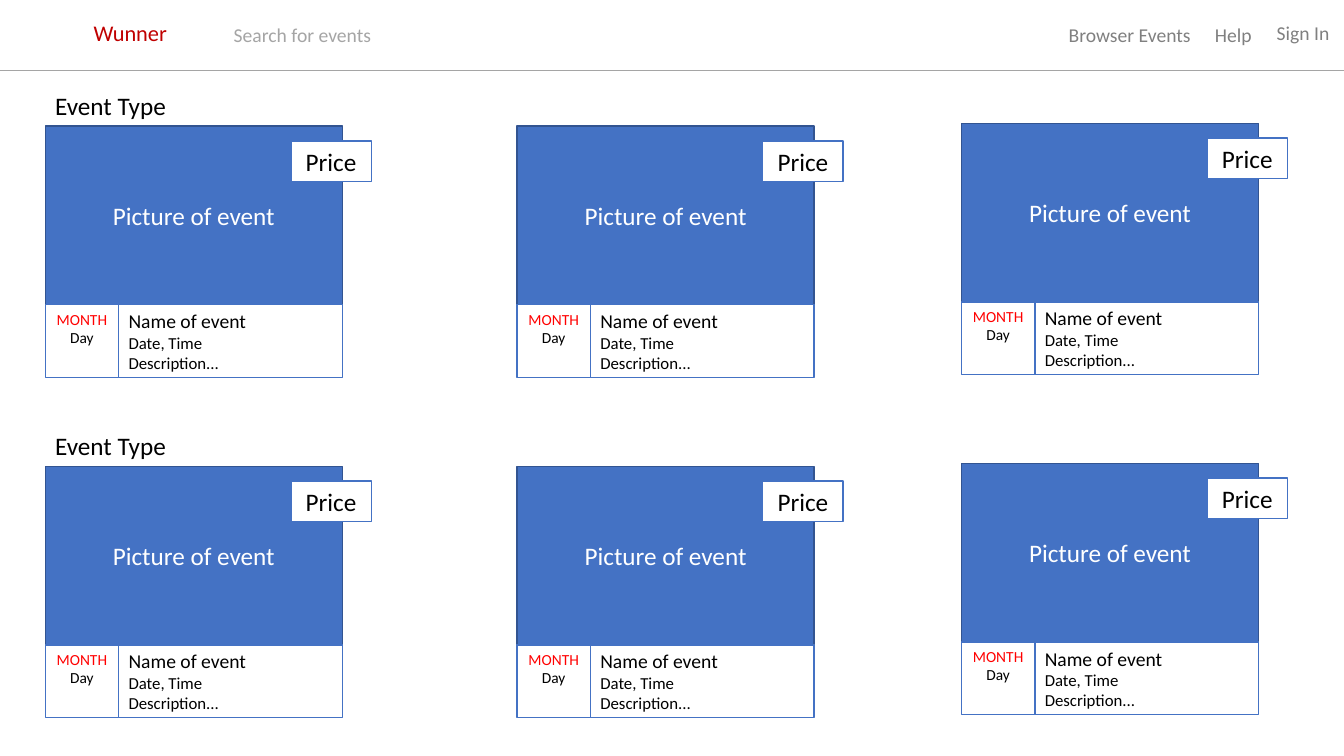
"""Build the event listing wireframe slide."""
from dataclasses import dataclass
from typing import Optional

from lxml import etree
from pptx import Presentation
from pptx.dml.color import RGBColor
from pptx.enum import shapes, text
from pptx.oxml import ns
from pptx.util import Cm, Pt


@dataclass(frozen=True)
class Theme:
    """Colours, type sizes and font of the slide."""
    font: str = "Calibri"
    blue: str = "4472C4"
    navy: str = "325491"
    white: str = "FFFFFF"
    black: str = "000000"
    month: str = "FF0000"
    brand: str = "C00000"
    menu: str = "808080"
    pale: str = "A5A5A5"
    heading: int = 18
    logo: int = 16
    body: int = 14
    detail: int = 12
    date: int = 11


THEME = Theme()


@dataclass(frozen=True)
class Span:
    """A stretch of text with one size and colour."""
    words: str
    size: int
    colour: str = THEME.black


@dataclass(frozen=True)
class Box:
    """A rectangle in centimetres, with one list of spans per paragraph."""
    left: float
    top: float
    width: float
    height: float
    paras: tuple[tuple[Span, ...], ...]
    fill: Optional[str] = None
    line: Optional[str] = None
    centred: bool = True
    middle: bool = True


CARD_WIDTH, BANNER_HEIGHT = 7.49, 4.5
DATE_WIDTH, FOOTER_HEIGHT = 1.85, 1.83
COLUMNS = ((1.14, 3.18), (13.03, 3.18), (24.23, 3.11))
ROW_STEP = 8.57
HEADER_LINE = 1.78

HEADER = (
    Box(31.75, 0.41, 2.18, 0.86, ((Span("Sign In", THEME.body, THEME.menu),),)),
    Box(2.11, 0.36, 4.06, 0.94, ((Span("Wunner", THEME.logo, THEME.brand),),), centred=False),
    Box(30.28, 0.46, 1.6, 0.86, ((Span("Help", THEME.body, THEME.menu),),)),
    Box(26.44, 0.46, 4.06, 0.86, ((Span("Browser Events", THEME.body, THEME.menu),),)),
    Box(5.64, 0.43, 18.24, 0.89, ((Span("Search for events", THEME.body, THEME.pale),),),
        THEME.white, THEME.white, centred=False),
)


def card_boxes(left: float, top: float) -> tuple[Box, ...]:
    """Return the four boxes of one event card."""
    footer = top + BANNER_HEIGHT
    return (
        Box(left, top, CARD_WIDTH, BANNER_HEIGHT,
            ((Span("Picture of event", THEME.heading, THEME.white),),), THEME.blue, THEME.navy),
        Box(left, footer, DATE_WIDTH, FOOTER_HEIGHT,
            ((Span("MONTH", THEME.date, THEME.month), Span("Day", THEME.date)),),
            THEME.white, THEME.blue, middle=False),
        Box(left + DATE_WIDTH, footer, CARD_WIDTH - DATE_WIDTH, FOOTER_HEIGHT,
            ((Span("Name of event", THEME.body),), (Span("Date, Time", THEME.detail),),
             (Span("Description...", THEME.detail),)),
            THEME.white, THEME.blue, centred=False),
        Box(left + 6.19, top + 0.37, 2.03, 1.02, ((Span("Price", THEME.heading),),),
            THEME.white, THEME.blue),
    )


def write_text(frame, box: Box) -> None:
    """Fill a text frame with the paragraphs of a box."""
    anchored = box.fill and box.middle
    formats = {
        "word_wrap": True,
        "auto_size": text.MSO_AUTO_SIZE.NONE if box.fill else text.MSO_AUTO_SIZE.SHAPE_TO_FIT_TEXT,
        "vertical_anchor": text.MSO_ANCHOR.MIDDLE if anchored else text.MSO_ANCHOR.TOP,
    }
    for name, value in formats.items():
        setattr(frame, name, value)
    for index, spans in enumerate(box.paras):
        para = frame.add_paragraph() if index else frame.paragraphs[0]
        para.alignment = text.PP_ALIGN.CENTER if box.centred else text.PP_ALIGN.LEFT
        for place, span in enumerate(spans):
            if place:
                para.add_line_break()
            run = para.add_run()
            run.text = span.words
            for name, value in {"name": THEME.font, "size": Pt(span.size)}.items():
                setattr(run.font, name, value)
            run.font.color.rgb = RGBColor.from_string(span.colour)


def draw_box(page, box: Box) -> None:
    """Draw a filled rectangle, or a text box when there is no fill."""
    area = [Cm(length) for length in (box.left, box.top, box.width, box.height)]
    if box.fill:
        shape = page.shapes.add_shape(shapes.MSO_SHAPE.RECTANGLE, *area)
        shape.shadow.inherit = False
        shape.fill.solid()
        shape.fill.fore_color.rgb = RGBColor.from_string(box.fill)
        shape.line.color.rgb = RGBColor.from_string(box.line)
        shape.line.width = Pt(1)
    else:
        shape = page.shapes.add_textbox(*area)
    write_text(shape.text_frame, box)


def draw_header_line(page, width: int) -> None:
    """Draw the thin line under the header."""
    line = page.shapes.add_connector(
        shapes.MSO_CONNECTOR.STRAIGHT, 0, Cm(HEADER_LINE), width, Cm(HEADER_LINE))
    line.line.color.rgb = RGBColor.from_string(THEME.pale)
    line.line.width = Pt(0.5)
    etree.SubElement(line._element.spPr, ns.qn("a:effectLst"))


def main() -> None:
    """Build and save the deck."""
    deck = Presentation()
    deck.slide_width, deck.slide_height = Cm(33.87), Cm(19.05)
    page = deck.slides.add_slide(deck.slide_layouts[6])
    for row in range(2):
        shift = row * ROW_STEP
        draw_box(page, Box(1.14, 2.16 + shift, 9.47, 1.02,
                           ((Span("Event Type", THEME.heading),),), centred=False))
        for left, top in COLUMNS:
            for box in card_boxes(left, top + shift):
                draw_box(page, box)
    for box in HEADER:
        draw_box(page, box)
    draw_header_line(page, deck.slide_width)
    deck.save("out.pptx")


if __name__ == "__main__":
    main()
